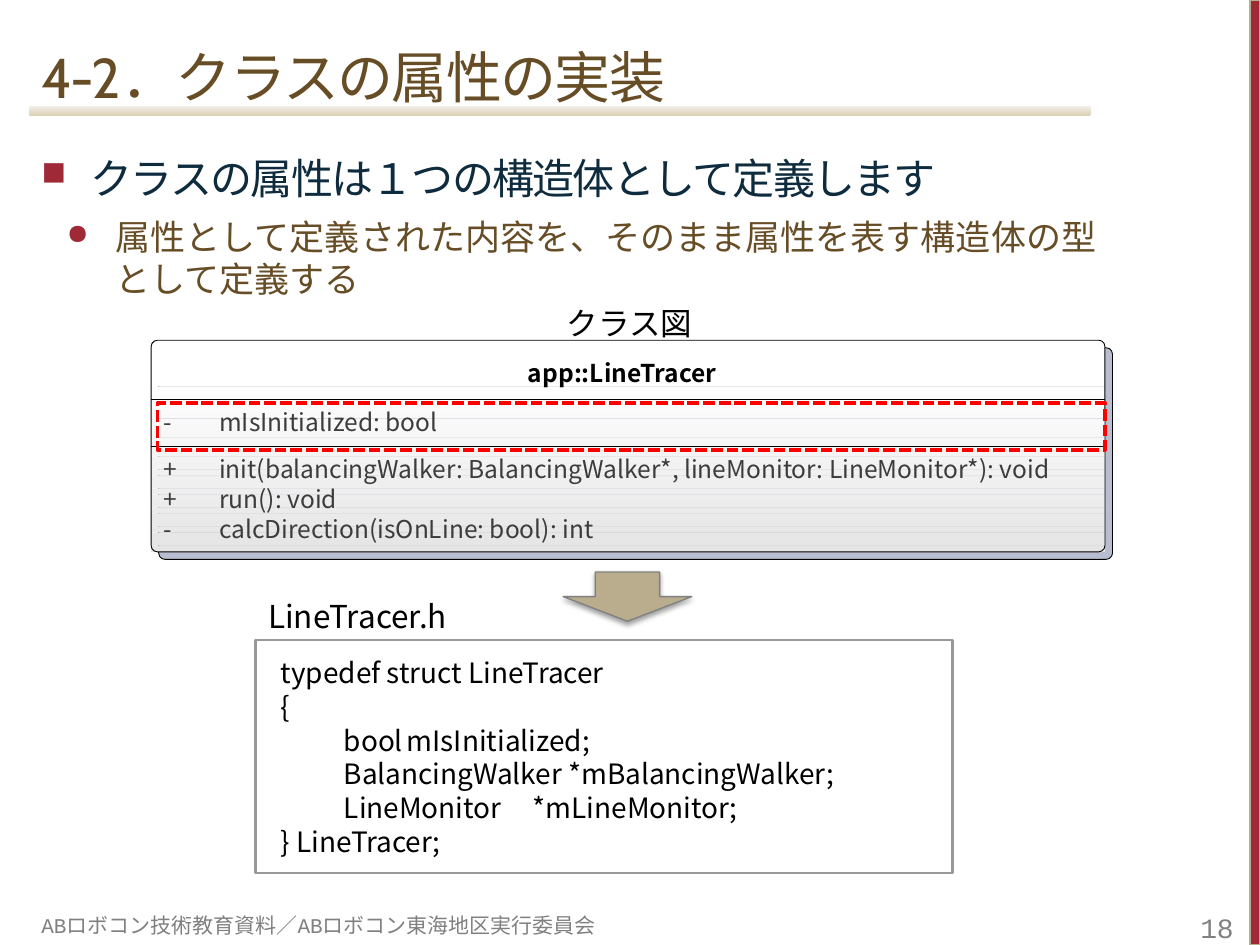
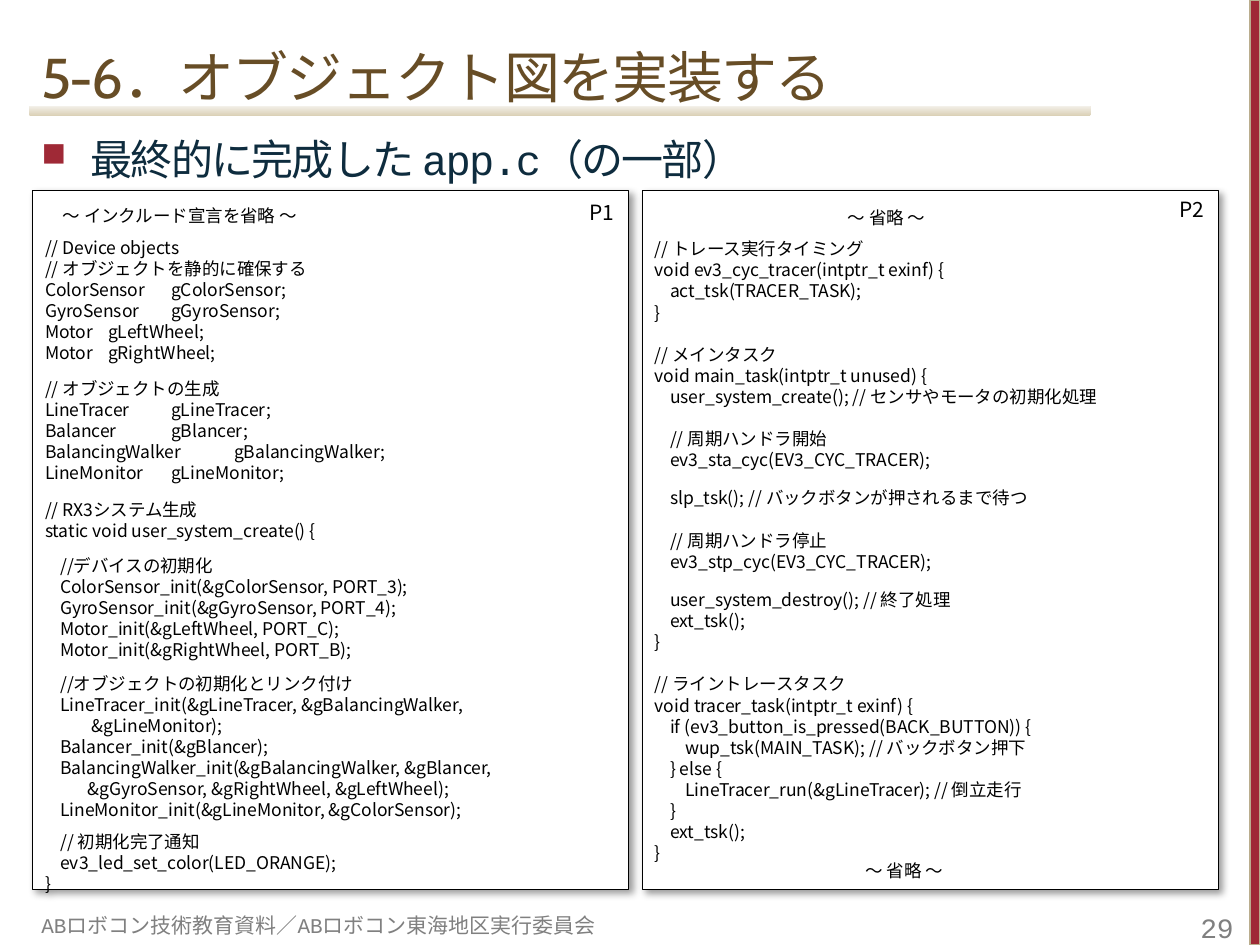
from dataclasses import dataclass
from typing import Any, Optional, Sequence

import pptx
import pptx.dml.color
import pptx.enum.shapes
import pptx.enum.text
import pptx.oxml
import pptx.oxml.ns
import pptx.util
from pptx.util import Inches

RGB = pptx.dml.color.RGBColor
KIND = pptx.enum.shapes.MSO_SHAPE
ANCHOR = pptx.enum.text.MSO_ANCHOR
ALIGN = pptx.enum.text.PP_ALIGN

BLACK = RGB(0x00, 0x00, 0x00)
WHITE = RGB(0xFF, 0xFF, 0xFF)
BROWN = RGB(0x67, 0x4D, 0x26)
NAVY = RGB(0x0E, 0x2C, 0x3E)
WINE = RGB(0x9F, 0x29, 0x36)
TAN = RGB(0xBA, 0xAD, 0x8D)
SAND = RGB(0xDB, 0xD1, 0xB7)
CREAM = RGB(0xF3, 0xF0, 0xE9)
GRAY = RGB(0x80, 0x80, 0x80)
SILVER = RGB(0x98, 0x98, 0x98)
DARK = RGB(0x3C, 0x3C, 0x3C)
STEEL = RGB(0xB8, 0xBE, 0xCF)
RED = RGB(0xFF, 0x00, 0x00)

SANS = "Noto Sans CJK JP"
MONO = "Courier New"
HEAD = "Cabin"
LEADING = 1.205
FOOTER = "ABロボコン技術教育資料／ABロボコン東海地区実行委員会"


@dataclass(frozen=True)
class Box:
    left: float
    top: float
    width: float
    height: float


@dataclass(frozen=True)
class Style:
    size: float
    font: str = SANS
    color: RGB = BLACK
    bold: bool = False
    track: int = 0


@dataclass(frozen=True)
class Row:
    text: str
    gap: float = 0
    left: float = 0
    tabs: tuple[float, ...] = ()
    line: float = 0
    after: float = 0
    hang: float = 0
    mark: str = ""
    style: Optional[Style] = None


@dataclass(frozen=True)
class Shade:
    alpha: int
    blur: float
    dist: float
    angle: int


CODE = Style(10)
LIST = Style(16)
LABEL = Style(18)
PAGE = Style(12)
MEMBER = Style(14, color=DARK)
NAME = Style(14, bold=True)
TITLE = Style(32, HEAD, BROWN, track=-100)
POINT = Style(24, MONO, NAVY, track=-100)
DETAIL = Style(20, MONO, BROWN)
NOTE = Style(12, MONO, GRAY)
NUMBER = Style(16, MONO, GRAY)
INSETS = (0.1, 0.05, 0.1, 0.05)
STEP = 0.12


def add(parent: Any, tag: str, **attrs: Any) -> Any:
    node = pptx.oxml.parse_xml(
        f'<{tag} xmlns:a="http://schemas.openxmlformats.org/drawingml/2006/main"/>')
    for key, value in attrs.items():
        node.set(key, str(value))
    parent.append(node)
    return node


def place(box: Box) -> tuple[Any, ...]:
    return tuple(Inches(v) for v in (box.left, box.top, box.width, box.height))


def shape(slide: Any, kind: Any, box: Box, fill: Optional[RGB] = None,
          line: Optional[RGB] = None, weight: float = 0.75,
          shade: Optional[Shade] = None) -> Any:
    item = slide.shapes.add_shape(kind, *place(box))
    item.shadow.inherit = False
    if fill is None:
        item.fill.background()
    else:
        item.fill.solid()
        item.fill.fore_color.rgb = fill
    if line is None:
        item.line.fill.background()
    else:
        item.line.color.rgb = line
        item.line.width = pptx.util.Pt(weight)
    if shade:
        effects = item._element.spPr.find(pptx.oxml.ns.qn("a:effectLst"))
        outer = add(effects, "a:outerShdw", blurRad=pptx.util.Pt(shade.blur),
                    dist=pptx.util.Pt(shade.dist), dir=shade.angle * 60000,
                    algn="t", rotWithShape=0)
        color = add(outer, "a:srgbClr", val=BLACK)
        add(color, "a:alpha", val=shade.alpha * 1000)
    return item


def write(item: Any, rows: Sequence[Row], style: Style, anchor: Any = ANCHOR.TOP,
          align: Any = ALIGN.LEFT, insets: Sequence[float] = INSETS) -> None:
    frame = item.text_frame
    frame.word_wrap = True
    frame.vertical_anchor = anchor
    (frame.margin_left, frame.margin_top,
     frame.margin_right, frame.margin_bottom) = map(Inches, insets)
    for index, row in enumerate(rows):
        look = row.style or style
        para = frame.add_paragraph() if index else frame.paragraphs[0]
        para.alignment = align
        para.line_spacing = pptx.util.Pt(row.line or look.size * LEADING)
        para.space_before = pptx.util.Pt(row.gap)
        para.space_after = pptx.util.Pt(row.after)
        props = para._p.get_or_add_pPr()
        props.set("marL", str(Inches(row.left)))
        props.set("indent", str(Inches(-row.hang)))
        if row.mark:
            add(add(props, "a:buClr"), "a:srgbClr", val=WINE)
            add(props, "a:buSzPct", val=80000)
            add(props, "a:buChar", char=row.mark)
        if row.tabs:
            stops = add(props, "a:tabLst")
            for stop in row.tabs:
                add(stops, "a:tab", pos=Inches(stop), algn="l")
        run = para.add_run()
        run.text = row.text
        run.font.size = pptx.util.Pt(look.size)
        run.font.bold = look.bold
        run.font.color.rgb = look.color
        run.font.name = look.font
        face = run._r.get_or_add_rPr()
        face.set("spc", str(look.track))
        add(face, "a:ea", typeface=SANS)


def text(slide: Any, box: Box, rows: Sequence[Row], style: Style, **more: Any) -> None:
    write(slide.shapes.add_textbox(*place(box)), rows, style, **more)


def rule(slide: Any, left: float, right: float, y: float) -> None:
    line = slide.shapes.add_connector(
        pptx.enum.shapes.MSO_CONNECTOR.STRAIGHT,
        Inches(left), Inches(y), Inches(right), Inches(y))
    line.line.color.rgb = BLACK
    line.line.width = pptx.util.Pt(0.5)
    add(line._element.spPr, "a:effectLst")


def start(deck: Any, title: str, page: int) -> Any:
    slide = deck.slides.add_slide(deck.slide_layouts[6])
    bar = shape(slide, KIND.ROUNDED_RECTANGLE, Box(0.23, 0.84, 8.43, 0.08), SAND)
    bar.fill.gradient()
    bar.fill.gradient_angle = 90
    for stop, color in zip(bar.fill.gradient_stops, (SAND, CREAM)):
        stop.color.rgb = color
    shape(slide, KIND.RECTANGLE, Box(9.92, 0, 0.08, 7.5), WINE, TAN)
    text(slide, Box(9.3, 7.12, 0.59, 0.37), [Row(str(page))], NUMBER,
         anchor=ANCHOR.BOTTOM, align=ALIGN.RIGHT, insets=(0.1, 0.05, 0.1, 0))
    text(slide, Box(0.23, 7.09, 5.2, 0.4), [Row(FOOTER)], NOTE, anchor=ANCHOR.BOTTOM)
    text(slide, Box(0.23, 0.2, 8.4, 0.72), [Row(title)], TITLE, anchor=ANCHOR.BOTTOM)
    return slide


def point(words: str) -> Row:
    return Row(words, gap=4, after=4, left=0.39, hang=0.39, mark="■")


def draw_class(slide: Any) -> None:
    left, top, width, height = 1.2, 2.7, 7.57, 1.68
    right, fade, count = left + width, 3.07, 26

    def card(shift: float, fill: Optional[RGB]) -> None:
        item = shape(slide, KIND.ROUNDED_RECTANGLE,
                     Box(left + shift, top + shift, width, height), fill, BLACK, 0.5)
        item.adjustments[0] = 0.03

    card(0.06, STEEL)
    shape(slide, KIND.RECTANGLE, Box(left, top, width, fade - top), WHITE)
    band = (top + height - fade) / count
    for index in range(count):
        tone = 254 - index
        shape(slide, KIND.RECTANGLE, Box(left, fade + index * band, width, band),
              RGB(tone, tone, tone))
    card(0, None)
    for y in (3.17, 3.54):
        rule(slide, left, right, y)
    flat = (0, 0, 0, 0)
    text(slide, Box(4.19, 2.84, 3, 0.23), [Row("app::LineTracer")], NAME, insets=flat)
    members = (
        (3.23, "-", "mIsInitialized: bool"),
        (3.6, "+", "init(balancingWalker: BalancingWalker*, lineMonitor: LineMonitor*): void"),
        (3.84, "+", "run(): void"),
        (4.08, "-", "calcDirection(isOnLine: bool): int"),
    )
    for y, sign, words in members:
        text(slide, Box(1.3, y, 0.26, 0.23), [Row(sign)], MEMBER, insets=flat)
        text(slide, Box(1.74, y, 7.99, 0.23), [Row(words)], MEMBER, insets=flat)


def build_class(deck: Any) -> None:
    slide = start(deck, "4-2．クラスの属性の実装", 18)
    draw_class(slide)
    text(slide, Box(0.23, 1.16, 8.84, 1.25), [
        point("クラスの属性は１つの構造体として定義します"),
        Row("属性として定義された内容を、そのまま属性を表す構造体の型として定義する",
            gap=3, after=3, left=0.59, hang=0.39, mark="●", style=DETAIL),
    ], POINT)
    code = shape(slide, KIND.RECTANGLE, Box(2.03, 5.08, 5.53, 1.85), None, SILVER, 1.5)
    write(code, [
        Row("typedef struct LineTracer"),
        Row("{"),
        Row("\tbool\tmIsInitialized;", tabs=(0.5, 1.9)),
        Row("\tBalancingWalker *mBalancingWalker;", tabs=(0.5,)),
        Row("\tLineMonitor\t*mLineMonitor;", tabs=(0.5, 2.15)),
        Row("} LineTracer;"),
    ], LIST, anchor=ANCHOR.MIDDLE, insets=(0.2, 0.05, 0.04, 0.05))
    text(slide, Box(4.4, 2.36, 1.5, 0.4), [Row("クラス図")], LABEL)
    text(slide, Box(2.03, 4.69, 1.99, 0.4), [Row("LineTracer.h")], LABEL)
    focus = shape(slide, KIND.RECTANGLE, Box(1.25, 3.2, 7.52, 0.37), None, RED, 2.25)
    focus.line.dash_style = pptx.enum.dml.MSO_LINE.SQUARE_DOT
    shape(slide, KIND.DOWN_ARROW, Box(4.47, 4.54, 1.02, 0.39), TAN, GRAY,
          shade=Shade(38, 3.1, 1.6, 90))


SETUP = [
    Row("～ インクルード宣言を省略 ～", left=0.14),
    Row("// Device objects", gap=6),
    Row("// オブジェクトを静的に確保する"),
    Row("ColorSensor\tgColorSensor;", tabs=(0.94,)),
    Row("GyroSensor\tgGyroSensor;", tabs=(0.93,)),
    Row("Motor\tgLeftWheel;", tabs=(0.92,)),
    Row("Motor\tgRightWheel;", tabs=(0.92,)),
    Row("// オブジェクトの生成", gap=8),
    Row("LineTracer\tgLineTracer;", tabs=(1.18,)),
    Row("Balancer\tgBlancer;", tabs=(1.17,)),
    Row("BalancingWalker\tgBalancingWalker;", tabs=(1.21,)),
    Row("LineMonitor\tgLineMonitor;", tabs=(1.12,)),
    Row("// RX3システム生成", gap=9),
    Row("static void user_system_create() {"),
    Row("//デバイスの初期化", gap=8, left=STEP),
    Row("ColorSensor_init(&gColorSensor, PORT_3);", left=STEP),
    Row("GyroSensor_init(&gGyroSensor, PORT_4);", left=STEP),
    Row("Motor_init(&gLeftWheel, PORT_C);", left=STEP),
    Row("Motor_init(&gRightWheel, PORT_B);", left=STEP),
    Row("//オブジェクトの初期化とリンク付け", gap=7, left=STEP),
    Row("LineTracer_init(&gLineTracer, &gBalancingWalker,", left=STEP),
    Row("&gLineMonitor);", left=0.37),
    Row("Balancer_init(&gBlancer);", left=STEP),
    Row("BalancingWalker_init(&gBalancingWalker, &gBlancer,", left=STEP),
    Row("&gGyroSensor, &gRightWheel, &gLeftWheel);", left=0.34),
    Row("LineMonitor_init(&gLineMonitor, &gColorSensor);", left=STEP),
    Row("// 初期化完了通知", gap=6, left=STEP),
    Row("ev3_led_set_color(LED_ORANGE);", left=STEP),
    Row("}"),
]
TASKS = [
    Row("～ 省略 ～", left=1.53),
    Row("// トレース実行タイミング", gap=6),
    Row("void ev3_cyc_tracer(intptr_t exinf) {"),
    Row("act_tsk(TRACER_TASK);", left=STEP),
    Row("}"),
    Row("// メインタスク", gap=12),
    Row("void main_task(intptr_t unused) {"),
    Row("user_system_create(); // センサやモータの初期化処理", left=STEP),
    Row("// 周期ハンドラ開始", gap=12, left=STEP),
    Row("ev3_sta_cyc(EV3_CYC_TRACER);", left=STEP),
    Row("slp_tsk(); // バックボタンが押されるまで待つ", gap=10, left=STEP),
    Row("// 周期ハンドラ停止", gap=12, left=STEP),
    Row("ev3_stp_cyc(EV3_CYC_TRACER);", left=STEP),
    Row("user_system_destroy(); // 終了処理", gap=10, left=STEP),
    Row("ext_tsk();", left=STEP),
    Row("}"),
    Row("// ライントレースタスク", gap=12),
    Row("void tracer_task(intptr_t exinf) {"),
    Row("if (ev3_button_is_pressed(BACK_BUTTON)) {", left=STEP),
    Row("wup_tsk(MAIN_TASK); // バックボタン押下", left=2 * STEP),
    Row("} else {", left=STEP),
    Row("LineTracer_run(&gLineTracer); // 倒立走行", left=2 * STEP),
    Row("}", left=STEP),
    Row("ext_tsk();", left=STEP),
    Row("}"),
    Row("～ 省略 ～", left=1.67, line=10),
]


def build_code(deck: Any) -> None:
    slide = start(deck, "5-6．オブジェクト図を実装する", 29)
    text(slide, Box(0.23, 1.01, 9.62, 0.5),
         [point("最終的に完成した app.c（の一部）")], POINT)
    panes = ((0.26, 4.73, 0.12, SETUP), (5.1, 4.57, 0.13, TASKS))
    for left, width, inset, rows in panes:
        pane = shape(slide, KIND.RECTANGLE, Box(left, 1.51, width, 5.55),
                     WHITE, BLACK, shade=Shade(40, 4, 3, 45))
        write(pane, rows, CODE, insets=(0.1, inset, 0.1, 0.05))
    for left, top, words in ((4.58, 1.53, "P1"), (9.26, 1.51, "P2")):
        text(slide, Box(left, top, 0.6, 0.3), [Row(words)], PAGE)


def main() -> None:
    deck = pptx.Presentation()
    deck.slide_width, deck.slide_height = Inches(10), Inches(7.5)
    build_class(deck)
    build_code(deck)
    deck.save("out.pptx")


if __name__ == "__main__":
    main()
